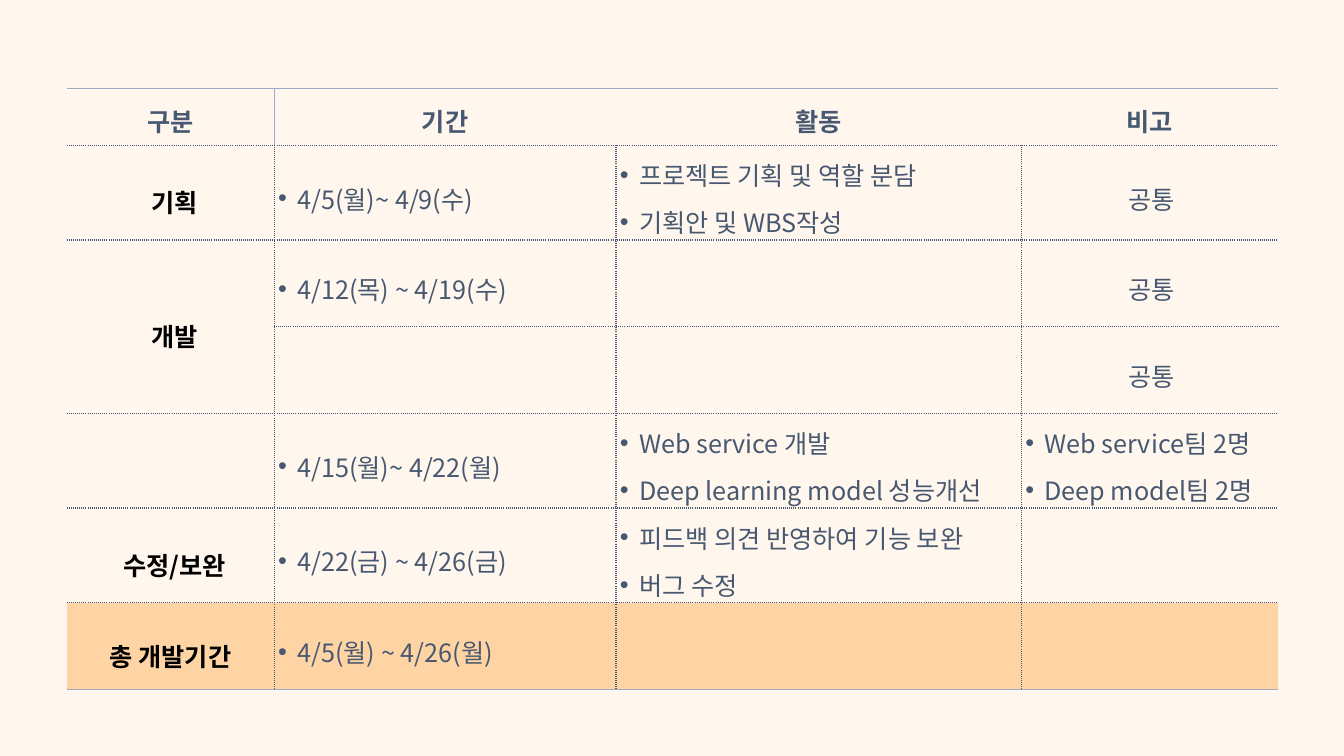
from dataclasses import dataclass

from lxml.etree import SubElement
from pptx import Presentation
from pptx.dml.color import RGBColor as Rgb
from pptx.enum.text import MSO_ANCHOR as Anchor, PP_ALIGN as Align
from pptx.oxml.ns import qn
from pptx.util import Inches, Pt

HEADERS = ["구분", "기간", "활동", "비고"]
PHASES = [
    ("기획", ["4/5(월)~ 4/9(수)"], ["프로젝트 기획 및 역할 분담", "기획안 및 WBS작성"], ["공통"]),
    ("개발", ["4/12(목) ~ 4/19(수)"], [], ["공통"]),
    ("", [], [], ["공통"]),
    ("", ["4/15(월)~ 4/22(월)"], ["Web service 개발", "Deep learning model 성능개선"],
     ["Web service팀 2명", "Deep model팀 2명"]),
    ("수정/보완", ["4/22(금) ~ 4/26(금)"], ["피드백 의견 반영하여 기능 보완", "버그 수정"], []),
    ("총 개발기간", ["4/5(월) ~ 4/26(월)"], [], []),
]
COLUMN_WIDTHS = [2.06, 3.39, 4.02, 2.55]
ROW_HEIGHTS = [0.56] + [0.86] * len(PHASES)
LAST_ROW, LAST_COLUMN = len(PHASES), len(HEADERS) - 1
MERGED_ROWS = (2, 3)


@dataclass(frozen=True)
class Theme:
    font: str = "Noto Sans CJK KR"
    size: int = 18
    background: str = "FFF7EE"
    total: str = "FFD4A4"
    text: str = "475870"
    phase: str = "000000"
    rule: str = "9BAAC0"


THEME = Theme()
SOLID = (THEME.rule, 0.5, "solid")
DOTTED = (THEME.text, 1, "sysDot")


def borders(row, column):
    header = row == 0
    inner = DOTTED if not header else None
    left = SOLID if header and column == 1 else inner
    right = SOLID if header and column == 0 else inner
    return {
        "a:lnL": left if column > 0 else None,
        "a:lnR": right if column < LAST_COLUMN else None,
        "a:lnT": SOLID if header else DOTTED,
        "a:lnB": SOLID if row == LAST_ROW else DOTTED,
    }


def draw_borders(cell, edges):
    properties = cell._tc.get_or_add_tcPr()
    for tag, edge in edges.items():
        line = SubElement(properties, qn(tag))
        if edge is None:
            line.set("w", "0")
            SubElement(line, qn("a:noFill"))
            continue
        color, width, dash = edge
        line.set("w", str(Pt(width)))
        fill = SubElement(line, qn("a:solidFill"))
        SubElement(fill, qn("a:srgbClr")).set("val", color)
        SubElement(line, qn("a:prstDash")).set("val", dash)


def add_bullet(paragraph):
    properties = paragraph._p.get_or_add_pPr()
    properties.set("marL", str(Inches(0.19)))
    properties.set("indent", str(-Inches(0.19)))
    SubElement(properties, qn("a:buFont")).set("typeface", "Arial")
    SubElement(properties, qn("a:buChar")).set("char", "•")


def write_cell(cell, lines, row, column):
    header, phase = row == 0, column == 0 and row > 0
    bulleted = not header and not phase and lines != ["공통"]
    cell.text_frame.text = "\n".join(lines)
    for paragraph in cell.text_frame.paragraphs:
        if bulleted and lines:
            add_bullet(paragraph)
        paragraph.alignment = Align.LEFT if bulleted else Align.CENTER
        paragraph.line_spacing = 1.2 if header else 1.5 if phase else 1.3
        for run in paragraph.runs:
            run.font.size = Pt(THEME.size)
            run.font.bold = header or phase
            run.font.color.rgb = Rgb.from_string(THEME.phase if phase else THEME.text)
            run.font.name = THEME.font
            SubElement(run._r.get_or_add_rPr(), qn("a:ea")).set("typeface", THEME.font)


def format_cell(cell, row, column):
    cell.vertical_anchor = Anchor.MIDDLE
    cell.margin_top = cell.margin_right = cell.margin_bottom = 0
    if row == 0 or (row == LAST_ROW and column == 0):
        cell.margin_left = 0
    else:
        cell.margin_left = Inches(0.08 if column == 0 else 0.04)
    draw_borders(cell, borders(row, column))
    if row == LAST_ROW:
        cell.fill.solid()
        cell.fill.fore_color.rgb = Rgb.from_string(THEME.total)
    else:
        cell.fill.background()


def add_schedule(slide):
    frame = slide.shapes.add_table(
        len(ROW_HEIGHTS), len(COLUMN_WIDTHS), Inches(0.66), Inches(0.88),
        Inches(sum(COLUMN_WIDTHS)), Inches(sum(ROW_HEIGHTS)))
    table = frame.table
    table.first_row = table.horz_banding = False
    for column, width in zip(table.columns, COLUMN_WIDTHS):
        column.width = Inches(width)
    for row, height in zip(table.rows, ROW_HEIGHTS):
        row.height = Inches(height)
    first, last = MERGED_ROWS
    table.cell(first, 0).merge(table.cell(last, 0))
    content = [[[header] for header in HEADERS]]
    content += [[[phase] if phase else [], *details] for phase, *details in PHASES]
    for row, entries in enumerate(content):
        for column, lines in enumerate(entries):
            cell = table.cell(row, column)
            format_cell(cell, row, column)
            write_cell(cell, lines, row, column)


def main():
    presentation = Presentation()
    presentation.slide_width, presentation.slide_height = Inches(13.33), Inches(7.5)
    slide = presentation.slides.add_slide(presentation.slide_layouts[6])
    slide.background.fill.solid()
    slide.background.fill.fore_color.rgb = Rgb.from_string(THEME.background)
    add_schedule(slide)
    presentation.save("out.pptx")


if __name__ == "__main__":
    main()
